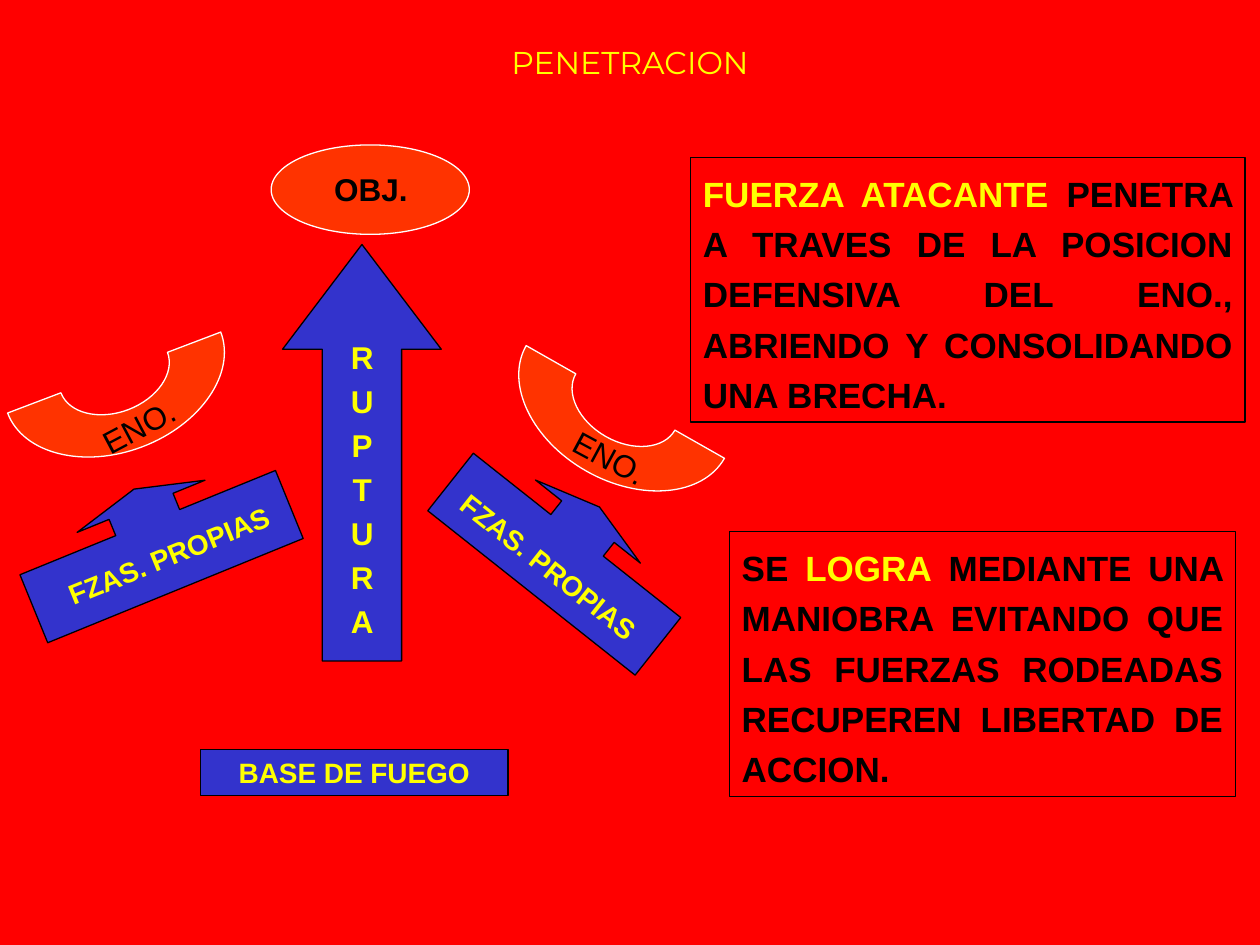
from lxml import etree
from pptx import Presentation
from pptx.dml.color import RGBColor
from pptx.enum.shapes import MSO_SHAPE
from pptx.enum.text import MSO_ANCHOR, MSO_AUTO_SIZE, PP_ALIGN
from pptx.oxml.ns import qn
from pptx.util import Inches, Pt

RECT, OVAL = MSO_SHAPE.RECTANGLE, MSO_SHAPE.OVAL
ARROW, CALL = MSO_SHAPE.UP_ARROW, MSO_SHAPE.UP_ARROW_CALLOUT
MID, TOP = MSO_ANCHOR.MIDDLE, MSO_ANCHOR.TOP
GROW, FIXED = MSO_AUTO_SIZE.SHAPE_TO_FIT_TEXT, MSO_AUTO_SIZE.NONE
CENTER, JUST = PP_ALIGN.CENTER, PP_ALIGN.JUSTIFY
HEX = {"red": "FF0000", "blue": "3333CC", "orange": "FF3300",
       "yellow": "FFFF00", "black": "000000", "white": "FFFFFF"}
RGB = {name: RGBColor.from_string(code) for name, code in HEX.items()}

deck = Presentation()
deck.slide_width, deck.slide_height = Inches(10), Inches(7.5)
COL, ROW = deck.slide_width / 100, deck.slide_height / 75
slide = deck.slides.add_slide(deck.slide_layouts[5])
slide.background.fill.solid()
slide.background.fill.fore_color.rgb = RGB["red"]
shapes = slide.shapes


def style(shape, place, fill=None, edge=None, turn=0):
    """Place a shape on the grid and set its fill, line and rotation."""
    x, y, w, h = place
    shape.left, shape.width = round(x * COL), round(w * COL)
    shape.top, shape.height = round(y * ROW), round(h * ROW)
    shape.rotation = turn
    shape.shadow.inherit = False
    if fill:
        shape.fill.solid()
        shape.fill.fore_color.rgb = RGB[fill]
    else:
        shape.fill.background()
    if edge:
        shape.line.color.rgb = RGB[edge]
        shape.line.width = Pt(0.75)
    else:
        shape.line.fill.background()
    return shape


def write(shape, lines, size, bold=True, align=CENTER, gap=0, lead=1,
          fit=GROW, anchor=TOP, face="Arial"):
    """Fill a shape with lines, each a list of (text, colour) runs."""
    frame = shape.text_frame
    frame.word_wrap = fit == GROW
    frame.auto_size = fit
    frame.vertical_anchor = anchor
    for i, runs in enumerate(lines):
        para = frame.add_paragraph() if i else frame.paragraphs[0]
        para.alignment, para.line_spacing = align, lead
        para.space_before = Pt(gap)
        para.font.name, para.font.size, para.font.bold = face, Pt(size), bold
        for text, color in runs:
            run = para.add_run()
            run.text = text
            run.font.color.rgb = RGB[color]


# Breakthrough arrow and title
arrow = style(shapes.add_shape(ARROW, 0, 0, 0, 0), (22.43, 19.4, 12.6, 33.05), "blue", "black")
arrow.adjustments[0], arrow.adjustments[1] = 0.5, 0.66

title = style(shapes.title, (18.5, 2.9, 63, 7.9))
write(title, [[("PENETRACION", "yellow")]], 18, bold=False, fit=FIXED, face="Montserrat")

# Explanations
notes = [
    ((54.8, 12.5, 44.02, 21),
     [("FUERZA ATACANTE ", "yellow"),
      ("PENETRA A TRAVES DE LA POSICION DEFENSIVA DEL ENO., "
       "ABRIENDO Y CONSOLIDANDO UNA BRECHA.", "black")]),
    ((57.88, 42.2, 40.18, 21),
     [("SE ", "black"), ("LOGRA", "yellow"),
      (" MEDIANTE UNA MANIOBRA EVITANDO QUE LAS FUERZAS RODEADAS "
       "RECUPEREN LIBERTAD DE ACCION.", "black")]),
]
for place, runs in notes:
    note = style(shapes.add_shape(RECT, 0, 0, 0, 0), place, edge="black")
    write(note, [runs], 20, align=JUST, lead=1.2)

# Objective and fire base
style(shapes.add_shape(OVAL, 0, 0, 0, 0), (21.52, 11.5, 15.73, 7.1), "orange", "white")
goal = style(shapes.add_textbox(0, 0, 0, 0), (24.33, 13, 10.2, 4))
write(goal, [[("OBJ.", "black")]], 18, gap=11.2)

base = style(shapes.add_shape(RECT, 0, 0, 0, 0), (15.9, 59.48, 24.43, 3.66), "blue", "black")
write(base, [[("BASE DE FUEGO", "yellow")]], 16, gap=10, fit=FIXED, anchor=MID)

# Enemy: upper half rings, the inner edge at half the outer radius
WIDE, HIGH, BEND = 18.1, 12.6, 0.55
outer = [(-1, 0), (-1, BEND), (-BEND, 1), (0, 1), (BEND, 1), (1, BEND), (1, 0)]
ring = outer + [(x / 2, y / 2) for x, y in reversed(outer)]
dots = [((1 + x) * WIDE / 2 * COL, (1 - y) * HIGH / 2 * ROW) for x, y in ring]
foes = [((0.01, 23.27), 159.2, (5.5, 31.83, 11, 4), -27.9),
        ((40.58, 25.6), 209.6, (42.5, 34.3, 11.8, 4), 28.3)]
for (x, y), tilt, place, turn in foes:
    maker = shapes.build_freeform(*dots[0])
    maker.add_line_segments(dots[1:], close=True)
    arc = maker.convert_to_shape()
    outline = arc.element.find(".//" + qn("a:path"))
    lines = outline.findall(qn("a:lnTo"))
    for first in (0, 3, 7, 10):
        curve = etree.Element(qn("a:cubicBezTo"))
        lines[first].addprevious(curve)
        for line in lines[first:first + 3]:
            curve.append(line[0])
            outline.remove(line)
    outline.set("h", str(round(HIGH * ROW)))
    style(arc, (x, y, WIDE, HIGH), "orange", "white", tilt)
    label = style(shapes.add_textbox(0, 0, 0, 0), place, turn=turn)
    write(label, [[("ENO.", "black")]], 18, bold=False, gap=11.2)

# Own forces
units = [((1.33, 38.5, 21.9, 8.7), -22.2, (3.53, 42.22, 19.7, 3.7), -22.1, 0.63),
         ((34.38, 39.3, 21, 8.7), 38.4, (33.7, 43.1, 19.7, 3.7), 38.4, 0.61)]
for place, turn, strip, slant, wide in units:
    call = style(shapes.add_shape(CALL, 0, 0, 0, 0), place, "blue", "black", turn)
    for i, share in enumerate((wide, wide, 0.17, 0.67)):
        call.adjustments[i] = share
    name = style(shapes.add_shape(RECT, 0, 0, 0, 0), strip, "blue", turn=slant)
    write(name, [[("FZAS. PROPIAS", "yellow")]], 16, gap=10, fit=FIXED, anchor=MID)

# Upright word on the arrow
word = style(shapes.add_textbox(0, 0, 0, 0), (26.4, 27.24, 4.7, 24))
write(word, [[(letter, "yellow")] for letter in "RUPTURA"], 18, gap=11.2, lead=0.65)

deck.save("out.pptx")
